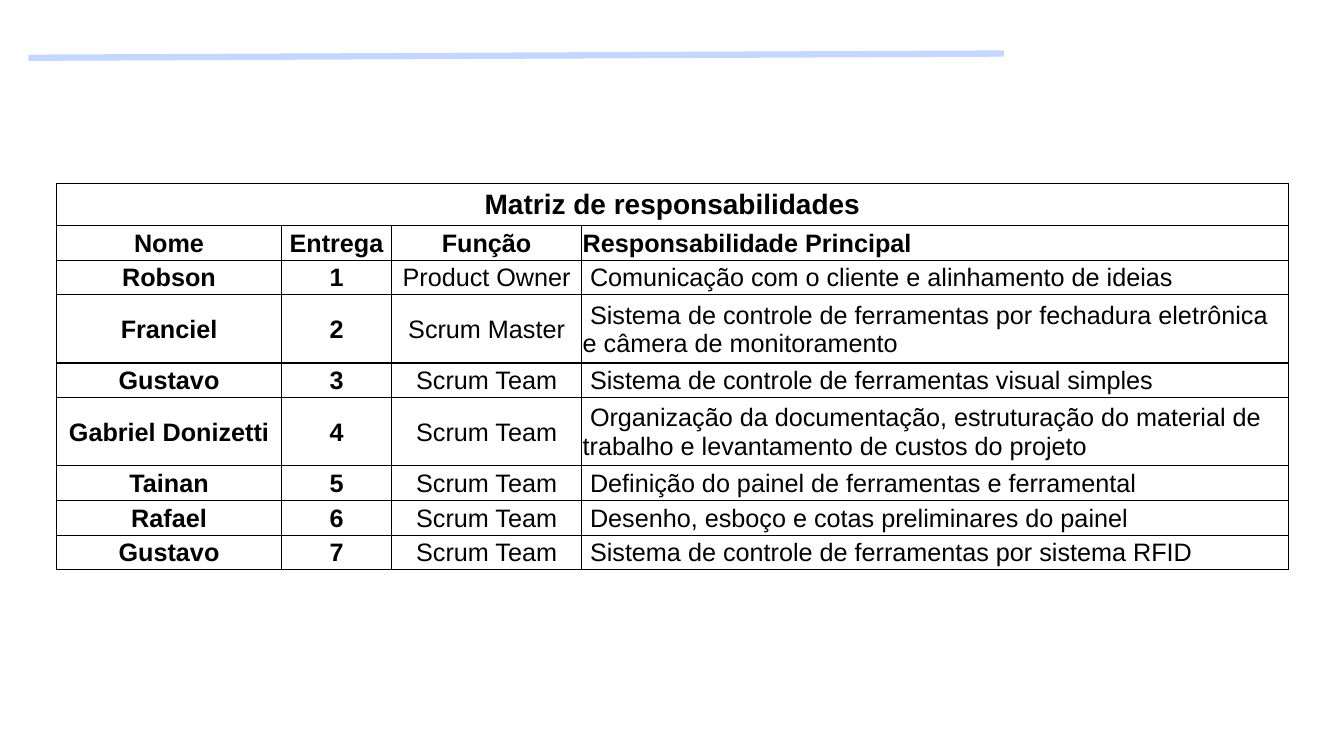
from dataclasses import dataclass

import pptx
import pptx.dml.color
import pptx.enum.shapes
import pptx.enum.text
import pptx.oxml
import pptx.oxml.ns
import pptx.shapes.shapetree
import pptx.table
import pptx.util

PX = 9525
CENTER = pptx.enum.text.PP_ALIGN.CENTER
LEFT = pptx.enum.text.PP_ALIGN.LEFT


@dataclass(frozen=True)
class Theme:
    font: str = "Arial"
    ink: str = "000000"
    accent: str = "93B5FF"
    accent_alpha: int = 53000
    title_size: int = 20
    body_size: int = 18
    border_width: float = 1
    accent_width: float = 4.5


@dataclass(frozen=True)
class Member:
    name: str
    delivery: int
    role: str
    duty: str
    height: int = 33


@dataclass(frozen=True)
class CellStyle:
    size: int
    bold: bool
    align: pptx.enum.text.PP_ALIGN = CENTER
    indent: int = 0
    insets: tuple[int, int, int, int] = (1, 1, 1, 0)


THEME = Theme()
TITLE = "Matriz de responsabilidades"
TITLE_STYLE = CellStyle(THEME.title_size, True, insets=(11, 5, 11, 5))
TITLE_HEIGHT = 37
HEADINGS = ("Nome", "Entrega", "Função", "Responsabilidade Principal")
HEADING_HEIGHT = 33
HEADING_STYLES = [CellStyle(THEME.body_size, True)] * 3 + [CellStyle(THEME.body_size, True, LEFT)]
MEMBER_STYLES = [
    CellStyle(THEME.body_size, True),
    CellStyle(THEME.body_size, True),
    CellStyle(THEME.body_size, False),
    CellStyle(THEME.body_size, False, LEFT, indent=7),
]
COLUMN_WIDTHS = (214, 105, 181, 673)
MATRIX_LEFT, MATRIX_TOP = 54, 175
MEMBERS = [
    Member("Robson", 1, "Product Owner", "Comunicação com o cliente e alinhamento de ideias"),
    Member("Franciel", 2, "Scrum Master",
           "Sistema de controle de ferramentas por fechadura eletrônica e câmera de monitoramento", 65),
    Member("Gustavo", 3, "Scrum Team", "Sistema de controle de ferramentas visual simples"),
    Member("Gabriel Donizetti", 4, "Scrum Team",
           "Organização da documentação, estruturação do material de trabalho e levantamento de custos do projeto", 65),
    Member("Tainan", 5, "Scrum Team", "Definição do painel de ferramentas e ferramental"),
    Member("Rafael", 6, "Scrum Team", "Desenho, esboço e cotas preliminares do painel"),
    Member("Gustavo", 7, "Scrum Team", "Sistema de controle de ferramentas por sistema RFID"),
]


def px(length: int) -> pptx.util.Emu:
    return pptx.util.Emu(length * PX)


def apply_format(target: object, values: dict[str, object]) -> None:
    for attribute, value in values.items():
        setattr(target, attribute, value)


def draw_borders(cell: pptx.table._Cell) -> None:
    properties = cell._tc.get_or_add_tcPr()
    width = pptx.util.Pt(THEME.border_width)
    for side in ("lnL", "lnR", "lnT", "lnB"):
        properties.append(pptx.oxml.parse_xml(
            f'<a:{side} {pptx.oxml.ns.nsdecls("a")} w="{width}"><a:solidFill>'
            f'<a:srgbClr val="{THEME.ink}"/></a:solidFill></a:{side}>'
        ))


def write_cell(cell: pptx.table._Cell, text: str, style: CellStyle) -> None:
    left, top, right, bottom = style.insets
    apply_format(cell, {
        "text": text,
        "vertical_anchor": pptx.enum.text.MSO_ANCHOR.MIDDLE,
        "margin_left": px(left),
        "margin_top": px(top),
        "margin_right": px(right),
        "margin_bottom": px(bottom),
    })
    paragraph = cell.text_frame.paragraphs[0]
    paragraph.alignment = style.align
    if style.indent:
        paragraph._p.get_or_add_pPr().set("indent", str(px(style.indent)))
    for run in paragraph.runs:
        apply_format(run.font, {
            "name": THEME.font, "size": pptx.util.Pt(style.size), "bold": style.bold,
        })
        run.font.color.rgb = pptx.dml.color.RGBColor.from_string(THEME.ink)


def draw_accent(shapes: pptx.shapes.shapetree.SlideShapes) -> None:
    accent = shapes.add_connector(
        pptx.enum.shapes.MSO_CONNECTOR.STRAIGHT, px(27), px(55), px(956), px(51)
    )
    accent.line.width = pptx.util.Pt(THEME.accent_width)
    accent.line.color.rgb = pptx.dml.color.RGBColor.from_string(THEME.accent)
    properties = accent._element.spPr
    color = properties.find(".//" + pptx.oxml.ns.qn("a:srgbClr"))
    color.append(pptx.oxml.parse_xml(
        f'<a:alpha {pptx.oxml.ns.nsdecls("a")} val="{THEME.accent_alpha}"/>'
    ))
    properties.append(pptx.oxml.parse_xml(f'<a:effectLst {pptx.oxml.ns.nsdecls("a")}/>'))


def draw_matrix(shapes: pptx.shapes.shapetree.SlideShapes) -> None:
    heights = [TITLE_HEIGHT, HEADING_HEIGHT] + [member.height for member in MEMBERS]
    matrix = shapes.add_table(
        len(heights), len(COLUMN_WIDTHS), px(MATRIX_LEFT), px(MATRIX_TOP),
        px(sum(COLUMN_WIDTHS)), px(sum(heights)),
    ).table
    apply_format(matrix, {"first_row": False, "horz_banding": False})
    for column, width in zip(matrix.columns, COLUMN_WIDTHS):
        column.width = px(width)
    for row, height in zip(matrix.rows, heights):
        row.height = px(height)
    for cell in matrix.iter_cells():
        draw_borders(cell)
        cell.fill.background()

    matrix.cell(0, 0).merge(matrix.cell(0, len(COLUMN_WIDTHS) - 1))
    write_cell(matrix.cell(0, 0), TITLE, TITLE_STYLE)
    lines = [(HEADINGS, HEADING_STYLES)] + [
        ((member.name, str(member.delivery), member.role, member.duty), MEMBER_STYLES)
        for member in MEMBERS
    ]
    for row_index, (texts, styles) in enumerate(lines, start=1):
        for column_index, (text, style) in enumerate(zip(texts, styles)):
            write_cell(matrix.cell(row_index, column_index), text, style)


def main() -> None:
    presentation = pptx.Presentation()
    apply_format(presentation, {"slide_width": px(1280), "slide_height": px(720)})
    slide = presentation.slides.add_slide(presentation.slide_layouts[6])
    draw_accent(slide.shapes)
    draw_matrix(slide.shapes)
    presentation.save("out.pptx")


if __name__ == "__main__":
    main()
